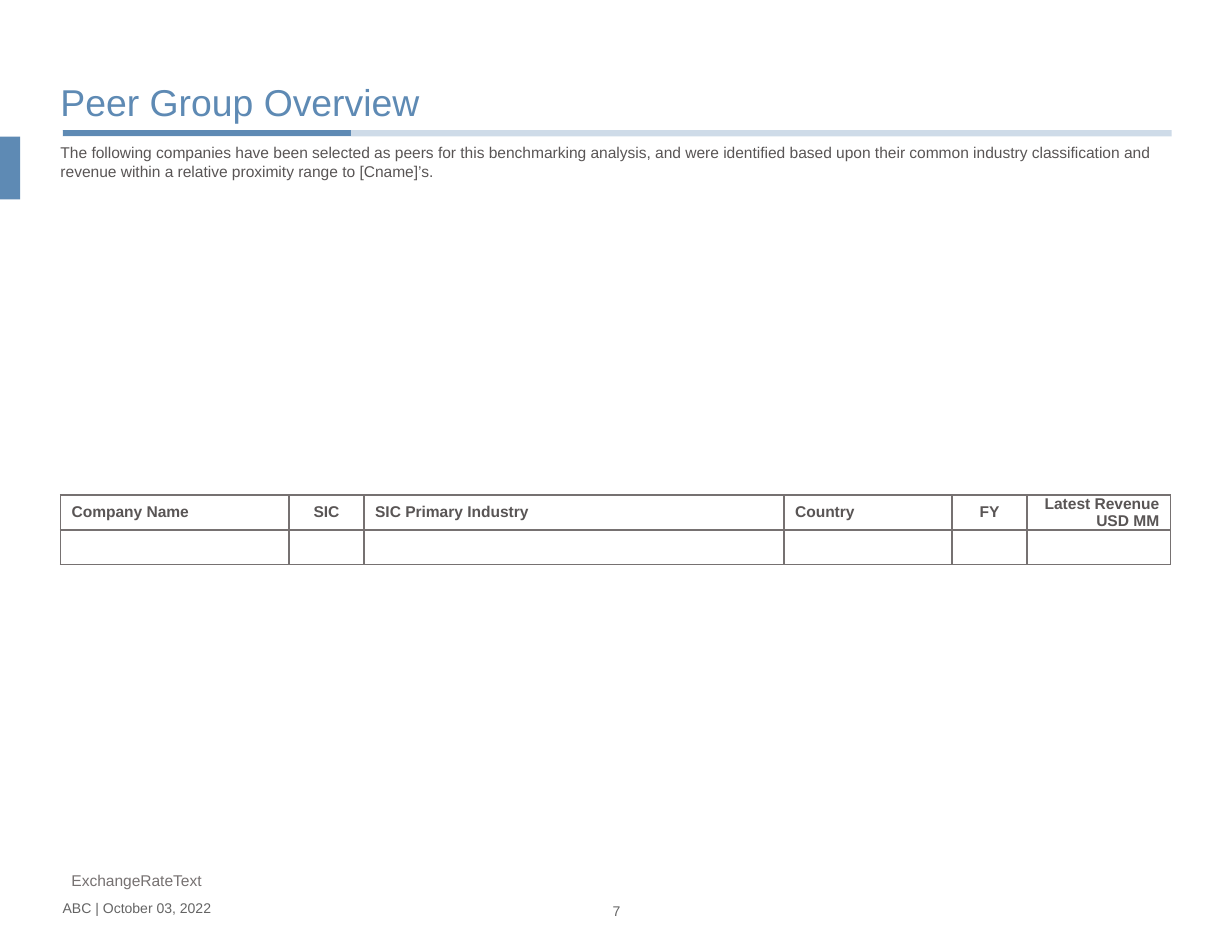
import pptx
import pptx.util
import pptx.dml.color
import pptx.enum.text
import pptx.enum.shapes
import pptx.oxml
import pptx.oxml.ns

Inches, Pt = pptx.util.Inches, pptx.util.Pt
RGBColor = pptx.dml.color.RGBColor
ALIGN = pptx.enum.text.PP_ALIGN
ANCHOR = pptx.enum.text.MSO_ANCHOR
FIT = pptx.enum.text.MSO_AUTO_SIZE
BLUE = RGBColor(0x5E, 0x8A, 0xB4)
DARK = RGBColor(0x59, 0x55, 0x55)
GRAY = RGBColor(0x76, 0x71, 0x71)
FOOT = RGBColor(0x64, 0x64, 0x64)
WHITE = RGBColor(0xFF, 0xFF, 0xFF)
LEFT, WIDTH = 0.54, 9.91


def write(para, text, size, color, align=ALIGN.LEFT, bold=False):
    para.alignment = align
    run = para.add_run()
    run.text = text
    font = run.font
    font.name, font.size, font.bold = "Arial", Pt(size), bold
    font.color.rgb = color


def place(box, left, top, width, height, inset=True):
    box.left, box.top = Inches(left), Inches(top)
    box.width, box.height = Inches(width), Inches(height)
    frame = box.text_frame
    frame.word_wrap = True
    frame.auto_size = FIT.NONE
    if not inset:
        frame.margin_left = frame.margin_right = 0
        frame.margin_top = frame.margin_bottom = 0
    return frame


deck = pptx.Presentation()
deck.slide_width, deck.slide_height = Inches(11), Inches(8.5)
slide = deck.slides.add_slide(deck.slide_layouts[1])
shapes = slide.shapes

# Side tab
tab = shapes.add_shape(pptx.enum.shapes.MSO_SHAPE.RECTANGLE,
                       Inches(0), Inches(1.22), Inches(0.18), Inches(0.56))
tab.shadow.inherit = False
tab.fill.solid()
tab.fill.fore_color.rgb = BLUE
tab.line.fill.background()

# Title rule: pale full width, solid start
for end, alpha in ((10.46, 30), (3.13, 100)):
    rule = shapes.add_connector(pptx.enum.shapes.MSO_CONNECTOR.STRAIGHT,
                                Inches(0.56), Inches(1.19), Inches(end), Inches(1.19))
    rule.line.color.rgb = BLUE
    rule.line.width = Pt(4)
    props = rule._element.spPr
    if alpha < 100:
        tint = props.find(".//" + pptx.oxml.ns.qn("a:srgbClr"))
        tint.append(pptx.oxml.parse_xml(
            f'<a:alpha {pptx.oxml.ns.nsdecls("a")} val="{alpha * 1000}"/>'))
    props.append(pptx.oxml.parse_xml(f'<a:effectLst {pptx.oxml.ns.nsdecls("a")}/>'))

# Title and intro
frame = place(shapes.title, LEFT, 0.21, WIDTH, 0.9, inset=False)
frame.vertical_anchor = ANCHOR.BOTTOM
write(frame.paragraphs[0], "Peer Group Overview", 24, BLUE)

frame = place(slide.placeholders[1], LEFT, 1.28, WIDTH, 0.34, inset=False)
intro = frame.paragraphs[0]
write(intro, "The following companies have been selected as peers for this benchmarking "
      "analysis, and were identified based upon their common industry classification and "
      "revenue within a relative proximity range to [Cname]’s.", 10, DARK)
intro.space_before, intro.space_after = Pt(0), Pt(8)
props = intro._p.get_or_add_pPr()
props.set("marL", "0")
props.set("indent", "0")
props.append(pptx.oxml.parse_xml(f'<a:buNone {pptx.oxml.ns.nsdecls("a")}/>'))

# Peer table
heads = (
    ("Company Name", 2.04, ALIGN.LEFT),
    ("SIC", 0.67, ALIGN.CENTER),
    ("SIC Primary Industry", 3.75, ALIGN.LEFT),
    ("Country", 1.5, ALIGN.LEFT),
    ("FY", 0.67, ALIGN.CENTER),
    ("Latest Revenue\nUSD MM", 1.28, ALIGN.RIGHT),
)
table = shapes.add_table(2, len(heads), Inches(LEFT), Inches(4.42),
                         Inches(WIDTH), Inches(0.62)).table
table.first_row = table.horz_banding = False
for row in table.rows:
    row.height = Inches(0.31)
for col, (head, width, align) in enumerate(heads):
    table.columns[col].width = Inches(width)
    for row in range(2):
        cell = table.cell(row, col)
        cell.vertical_anchor = ANCHOR.MIDDLE
        cell.margin_top = cell.margin_bottom = 0
        cell.margin_left = Inches(0.1 if align == ALIGN.LEFT else 0)
        cell.margin_right = Inches(0.1 if align == ALIGN.RIGHT else 0)
        props = cell._tc.get_or_add_tcPr()
        for side in ("lnL", "lnR", "lnT", "lnB"):
            props.append(pptx.oxml.parse_xml(
                f'<a:{side} {pptx.oxml.ns.nsdecls("a")} w="{Pt(1)}"><a:solidFill>'
                f'<a:srgbClr val="{GRAY}"/></a:solidFill></a:{side}>'))
        cell.fill.solid()
        cell.fill.fore_color.rgb = WHITE
    frame = table.cell(0, col).text_frame
    for at, line in enumerate(head.split("\n")):
        para = frame.add_paragraph() if at else frame.paragraphs[0]
        write(para, line, 10, DARK, align, bold=True)

# Footnote, footer and page number
notes = (
    ("ExchangeRateText", LEFT, 7.73, 2.04, 0.27, 10, GRAY, ALIGN.LEFT, True),
    ("ABC | October 03, 2022", 0.56, 8.03, 4.24, 0.15, 9, FOOT, ALIGN.LEFT, False),
    ("7", 5.32, 8.06, 0.37, 0.15, 9, FOOT, ALIGN.CENTER, False),
)
for text, left, top, width, height, size, color, align, inset in notes:
    box = shapes.add_textbox(0, 0, 0, 0)
    frame = place(box, left, top, width, height, inset)
    write(frame.paragraphs[0], text, size, color, align)

deck.save("out.pptx")
